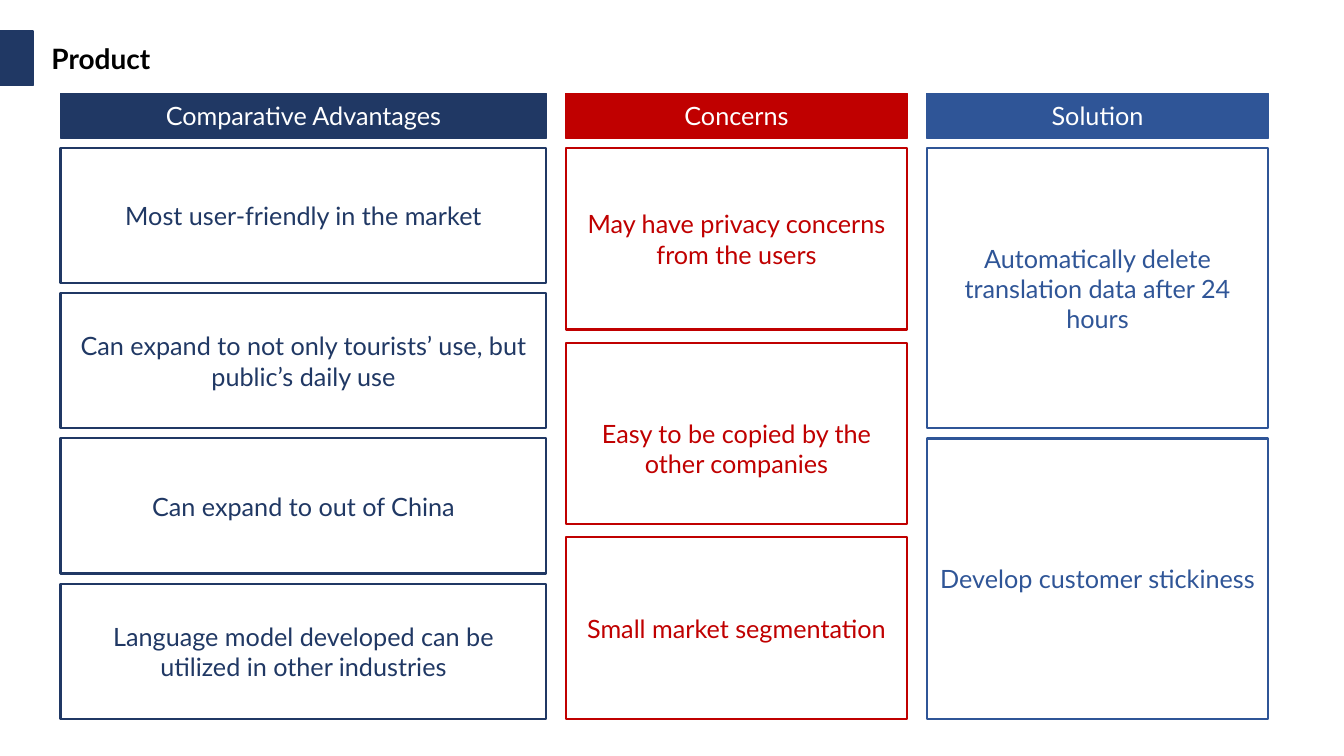
"""Build the product slide: advantages, concerns and solutions in three columns."""
from dataclasses import dataclass

from pptx import Presentation
from pptx.dml.color import RGBColor
from pptx.enum.shapes import MSO_SHAPE
from pptx.enum.text import MSO_ANCHOR, MSO_AUTO_SIZE, PP_ALIGN
from pptx.util import Inches, Pt

RECTANGLE = MSO_SHAPE.RECTANGLE
TOP, MIDDLE = MSO_ANCHOR.TOP, MSO_ANCHOR.MIDDLE
LEFT, CENTER = PP_ALIGN.LEFT, PP_ALIGN.CENTER
GROW = MSO_AUTO_SIZE.SHAPE_TO_FIT_TEXT
TITLE_ONLY = 5

SLIDE_WIDTH, SLIDE_HEIGHT = 13.33, 7.5
GRID_LEFT, GRID_WIDTH, COLUMN_GAP = 0.6, 11.98, 0.19
HEADER_TOP, HEADER_HEIGHT = 0.93, 0.44
BODY_TOP, BODY_HEIGHT = 1.47, 5.66


@dataclass(frozen=True)
class Theme:
    """Colours, font and sizes of the slide."""
    navy: str = "203864"
    red: str = "C00000"
    blue: str = "2F5597"
    white: str = "FFFFFF"
    black: str = "000000"
    font: str = "Lato"
    title_size: float = 20
    body_size: float = 18
    solid_line: float = 1
    card_line: float = 1.5


THEME = Theme()

COLUMNS = [
    (4.82, "Comparative Advantages", THEME.navy, 0.1, [
        ("Most user-friendly in the market", 0),
        ("Can expand to not only tourists’ use, but public’s daily use", 0),
        ("Can expand to out of China", 0),
        ("Language model developed can be utilized in other industries", 0),
    ]),
    (3.39, "Concerns", THEME.red, 0.13, [
        ("May have privacy concerns from the users", 0),
        ("Easy to be copied by the other companies", 0.3),
        ("Small market segmentation", 0),
    ]),
    (3.39, "Solution", THEME.blue, 0.1, [
        ("Automatically delete translation data after 24 hours", 0),
        ("Develop customer stickiness", 0),
    ]),
]


def tracks(start, length, gap, weights):
    """Split a length into weighted tracks and return (offset, size) pairs."""
    unit = (length - gap * (len(weights) - 1)) / sum(weights)
    placed = []
    for weight in weights:
        placed.append((start, unit * weight))
        start += unit * weight + gap
    return placed


def write(frame, text, size, color, align, anchor, bold=False):
    """Write one formatted run into a text frame."""
    frame.word_wrap = True
    frame.vertical_anchor = anchor
    paragraph = frame.paragraphs[0]
    paragraph.alignment = align
    paragraph.line_spacing = 1.0
    run = paragraph.add_run()
    run.text = text
    run.font.name = THEME.font
    run.font.size = Pt(size)
    run.font.bold = bold
    run.font.color.rgb = RGBColor.from_string(color)


def add_block(slide, left, top, width, height, color, filled):
    """Add a rectangle, either solid or outlined only."""
    block = slide.shapes.add_shape(
        RECTANGLE, Inches(left), Inches(top), Inches(width), Inches(height))
    block.shadow.inherit = False
    if filled:
        block.fill.solid()
        block.fill.fore_color.rgb = RGBColor.from_string(color)
    else:
        block.fill.background()
    block.line.color.rgb = RGBColor.from_string(color)
    block.line.width = Pt(THEME.solid_line if filled else THEME.card_line)
    return block


def add_title(slide, text):
    """Add the accent block and fill the title placeholder beside it."""
    add_block(slide, 0, 0.31, 0.33, 0.54, THEME.navy, True)
    title = slide.shapes.title
    title.left, title.top = Inches(0.41), Inches(0.36)
    title.width, title.height = Inches(2.74), Inches(0.44)
    title.text_frame.auto_size = GROW
    write(title.text_frame, text, THEME.title_size, THEME.black, LEFT, TOP, True)


def add_column(slide, left, width, heading, color, gap, cards):
    """Add a heading and its equally tall cards."""
    header = add_block(slide, left, HEADER_TOP, width, HEADER_HEIGHT, color, True)
    write(header.text_frame, heading, THEME.body_size, THEME.white, CENTER, MIDDLE)
    rows = tracks(BODY_TOP, BODY_HEIGHT, gap, [1] * len(cards))
    for (top, height), (text, drop) in zip(rows, cards):
        card = add_block(slide, left, top, width, height, color, False)
        card.text_frame.margin_top = Inches(0.05 + drop)
        write(card.text_frame, text, THEME.body_size, color, CENTER, MIDDLE)


def main():
    """Build and save the slide."""
    deck = Presentation()
    deck.slide_width, deck.slide_height = Inches(SLIDE_WIDTH), Inches(SLIDE_HEIGHT)
    slide = deck.slides.add_slide(deck.slide_layouts[TITLE_ONLY])
    add_title(slide, "Product")
    places = tracks(GRID_LEFT, GRID_WIDTH, COLUMN_GAP, [column[0] for column in COLUMNS])
    for (left, width), (_, heading, color, gap, cards) in zip(places, COLUMNS):
        add_column(slide, left, width, heading, color, gap, cards)
    deck.save("out.pptx")


if __name__ == "__main__":
    main()
